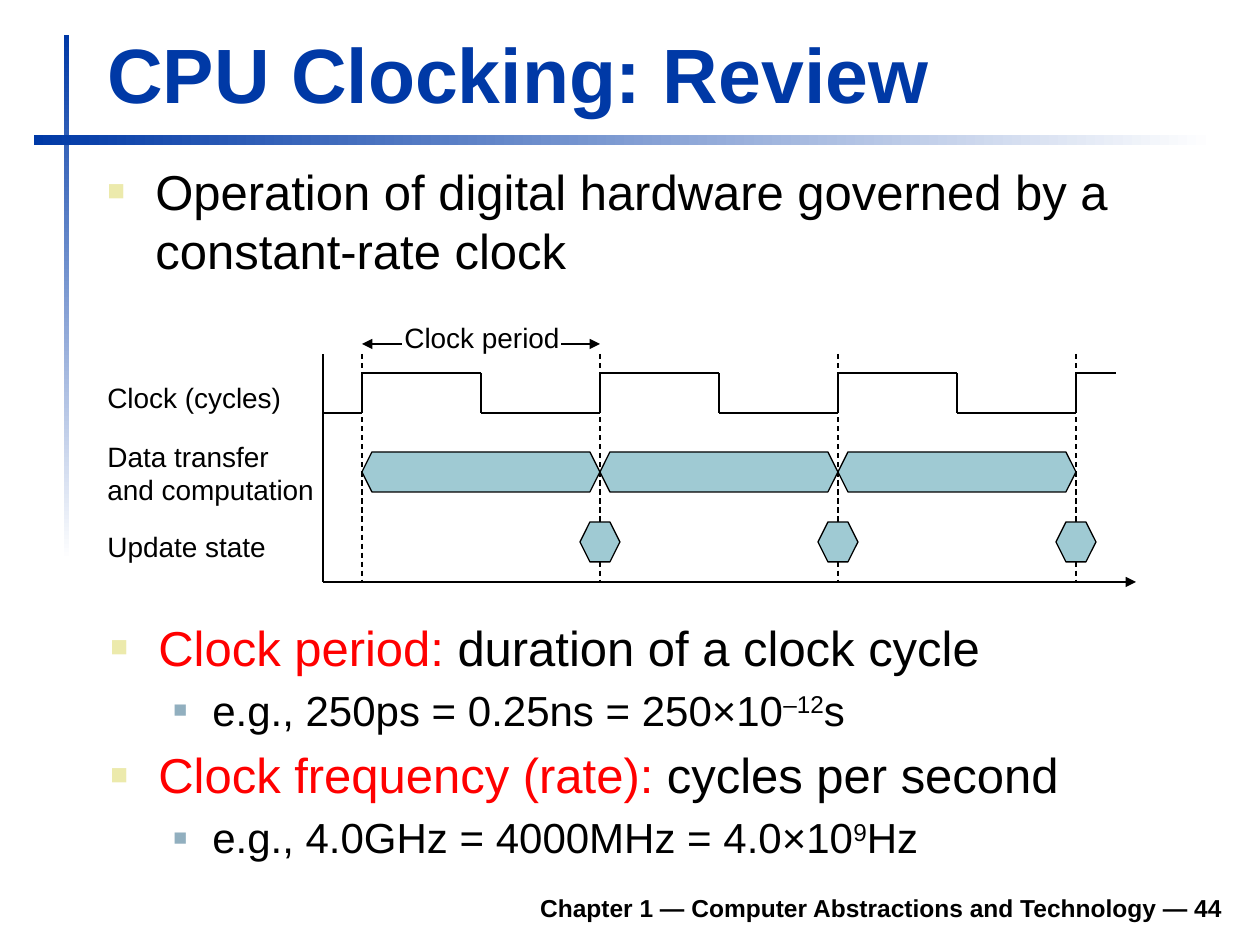
"""Build the CPU clocking review slide with its timing diagram."""
from dataclasses import dataclass

from lxml.etree import SubElement
from pptx import Presentation
from pptx.dml.color import RGBColor
from pptx.enum.dml import MSO_LINE
from pptx.enum.shapes import MSO_CONNECTOR, MSO_SHAPE
from pptx.enum.text import MSO_ANCHOR, MSO_AUTO_SIZE, PP_ALIGN
from pptx.oxml.ns import qn
from pptx.shapes.autoshape import Shape
from pptx.slide import Slide
from pptx.util import Emu, Pt

COLORS = {
    "title": "0039A6", "text": "000000", "term": "FF0000", "paper": "FFFFFF",
    "signal": "9FCAD3", "bullet": "ECEAAC", "subbullet": "91AFBF",
}
PERIOD, HALF = 238, 119
EDGES = [362 + PERIOD * cycle for cycle in range(4)]
AXIS_LEFT, AXIS_TOP, AXIS_BOTTOM = 323, 354, 582
HIGH, LOW = 373, 413


@dataclass(frozen=True)
class Span:
    text: str
    color: str = "text"
    raised: bool = False


@dataclass(frozen=True)
class Line:
    spans: tuple[Span, ...]
    level: int = 0


@dataclass(frozen=True)
class BulletStyle:
    color: str
    percent: int
    margin: int
    hanging: int
    size: int


@dataclass(frozen=True)
class Label:
    lines: tuple[str, ...]
    left: int
    top: int
    width: int
    height: int
    size: int = 16
    bold: bool = False
    color: str = "text"
    align: PP_ALIGN = PP_ALIGN.LEFT
    anchor: MSO_ANCHOR = MSO_ANCHOR.TOP
    wrap: bool = False


BULLETS = (BulletStyle("bullet", 60, 48, 48, 28),
           BulletStyle("subbullet", 55, 102, 39, 24))
INTRO = (Line((Span("Operation of digital hardware governed by a constant-rate clock"),)),)
DEFINITIONS = (
    Line((Span("Clock period:", "term"), Span(" duration of a clock cycle"))),
    Line((Span("e.g., 250ps = 0.25ns = 250×10"), Span("–12", raised=True), Span("s")), 1),
    Line((Span("Clock frequency (rate): ", "term"), Span("cycles per second"))),
    Line((Span("e.g., 4.0GHz = 4000MHz = 4.0×10"), Span("9", raised=True), Span("Hz")), 1),
)
FOOTER = Label(("Chapter 1 — Computer Abstractions and Technology — 44",),
               233, 880, 1002, 49, 14, True, align=PP_ALIGN.RIGHT,
               anchor=MSO_ANCHOR.BOTTOM, wrap=True)
TITLE = Label(("CPU Clocking: Review",), 95, 20, 1138, 105, 44, True, "title",
              anchor=MSO_ANCHOR.BOTTOM, wrap=True)
ROW_LABELS = (
    Label(("Clock (cycles)",), 95, 374, 199, 47),
    Label(("Data transfer", "and computation"), 95, 433, 232, 81),
    Label(("Update state",), 95, 523, 184, 47),
)
PERIOD_LABEL = Label(("Clock period",), 392, 314, 180, 47, align=PP_ALIGN.CENTER)


def px(length: int) -> Emu:
    """Turn pixels into EMU."""
    return Emu(round(length * 914400 / 126))


def rgb(name: str) -> RGBColor:
    """Look up a named colour."""
    return RGBColor.from_string(COLORS[name])


def add_span(para, text: str, size: int, color: str, bold: bool = False):
    """Add one formatted run."""
    span = para.add_run()
    span.text = text
    span.font.name = "Arial"
    span.font.size = Pt(size)
    span.font.bold = bold
    span.font.color.rgb = rgb(color)
    return span


def add_label(page: Slide, label: Label) -> None:
    """Add a text box holding one paragraph."""
    box = page.shapes.add_textbox(px(label.left), px(label.top), px(label.width), px(label.height))
    frame = box.text_frame
    frame.word_wrap = label.wrap
    frame.vertical_anchor = label.anchor
    if not label.wrap:
        frame.auto_size = MSO_AUTO_SIZE.SHAPE_TO_FIT_TEXT
    para = frame.paragraphs[0]
    para.alignment = label.align
    for index, text in enumerate(label.lines):
        if index:
            para.add_line_break()
        add_span(para, text, label.size, label.color, label.bold)


def add_bullets(page: Slide, lines: tuple[Line, ...], left: int, top: int,
                width: int, height: int) -> None:
    """Add a bulleted text box."""
    frame = page.shapes.add_textbox(px(left), px(top), px(width), px(height)).text_frame
    frame.word_wrap = True
    for index, line in enumerate(lines):
        style = BULLETS[line.level]
        para = frame.add_paragraph() if index else frame.paragraphs[0]
        para.level = line.level
        properties = para._p.get_or_add_pPr()
        properties.set("marL", str(px(style.margin)))
        properties.set("indent", str(px(-style.hanging)))
        color = SubElement(properties, qn("a:buClr"))
        SubElement(color, qn("a:srgbClr"), val=COLORS[style.color])
        SubElement(properties, qn("a:buSzPct"), val=str(style.percent * 1000))
        SubElement(properties, qn("a:buFont"), typeface="Arial")
        SubElement(properties, qn("a:buChar"), char="■")
        if index:
            para.space_before = Pt(style.size * 0.2)
        for part in line.spans:
            span = add_span(para, part.text, style.size, part.color)
            if part.raised:
                span.font._element.set("baseline", "30000")


def add_line(page: Slide, start: tuple[int, int], end: tuple[int, int], weight: float = 0.75,
             dashed: bool = False, arrows: tuple[str, ...] = ()) -> None:
    """Add a straight line with optional dashes and arrowheads."""
    line = page.shapes.add_connector(MSO_CONNECTOR.STRAIGHT, *map(px, start + end))
    line.line.width = Pt(weight)
    line.line.color.rgb = rgb("text")
    if dashed:
        line.line.dash_style = MSO_LINE.DASH
    for arrow in arrows:
        SubElement(line.line._get_or_add_ln(), qn(f"a:{arrow}"), type="triangle")
    SubElement(line._element.spPr, qn("a:effectLst"))


def add_block(page: Slide, kind: MSO_SHAPE, left: int, top: int, width: int, height: int) -> Shape:
    """Add a shape without shadow or outline."""
    block = page.shapes.add_shape(kind, px(left), px(top), px(width), px(height))
    block.shadow.inherit = False
    block.line.fill.background()
    return block


def add_fading_bar(page: Slide, left: int, top: int, width: int, height: int, angle: int) -> None:
    """Add a bar that fades from the title colour to the paper."""
    fill = add_block(page, MSO_SHAPE.RECTANGLE, left, top, width, height).fill
    fill.gradient()
    fill.gradient_angle = angle
    for stop, name, position in zip(fill.gradient_stops, ("title", "paper"), (0, 1)):
        stop.color.rgb = rgb(name)
        stop.position = position


def add_signal(page: Slide, left: int, top: int, width: int) -> None:
    """Add a hexagonal signal block."""
    signal = add_block(page, MSO_SHAPE.HEXAGON, left, top, width, 40)
    signal.adjustments[0] = 0.25
    signal.fill.solid()
    signal.fill.fore_color.rgb = rgb("signal")
    signal.line.color.rgb = rgb("text")
    signal.line.width = Pt(0.75)


def add_wave(page: Slide) -> None:
    """Add the square clock wave."""
    points = [(AXIS_LEFT, LOW)]
    for edge in EDGES:
        points += [(edge, LOW), (edge, HIGH), (edge + HALF, HIGH), (edge + HALF, LOW)]
    points[-2:] = [(EDGES[-1] + 40, HIGH)]
    for start, end in zip(points, points[1:]):
        add_line(page, start, end, 1.5)


def add_diagram(page: Slide) -> None:
    """Add the timing diagram."""
    add_line(page, (EDGES[0], 344), (EDGES[1], 344), arrows=("headEnd", "tailEnd"))
    for edge in EDGES:
        add_line(page, (edge, AXIS_TOP), (edge, AXIS_BOTTOM), dashed=True)
    add_wave(page)
    for edge in EDGES[:-1]:
        add_signal(page, edge, 452, PERIOD)
        add_signal(page, edge + PERIOD - 20, 522, 40)
    add_line(page, (AXIS_LEFT, AXIS_BOTTOM), (1136, AXIS_BOTTOM), arrows=("tailEnd",))
    add_line(page, (AXIS_LEFT, AXIS_BOTTOM), (AXIS_LEFT, AXIS_TOP))
    backing = add_block(page, MSO_SHAPE.RECTANGLE, 402, 334, 159, 20)
    backing.fill.solid()
    backing.fill.fore_color.rgb = rgb("paper")
    for label in ROW_LABELS + (PERIOD_LABEL,):
        add_label(page, label)


def main() -> None:
    """Build and save the deck."""
    deck = Presentation()
    deck.slide_width, deck.slide_height = px(1260), px(945)
    page = deck.slides.add_slide(deck.slide_layouts[6])
    add_fading_bar(page, 64, 35, 5, 525, 270)
    add_fading_bar(page, 34, 135, 1181, 10, 0)
    add_label(page, FOOTER)
    add_label(page, TITLE)
    add_bullets(page, INTRO, 95, 155, 1140, 169)
    add_diagram(page)
    add_bullets(page, DEFINITIONS, 98, 611, 1071, 268)
    deck.save("out.pptx")


if __name__ == "__main__":
    main()
